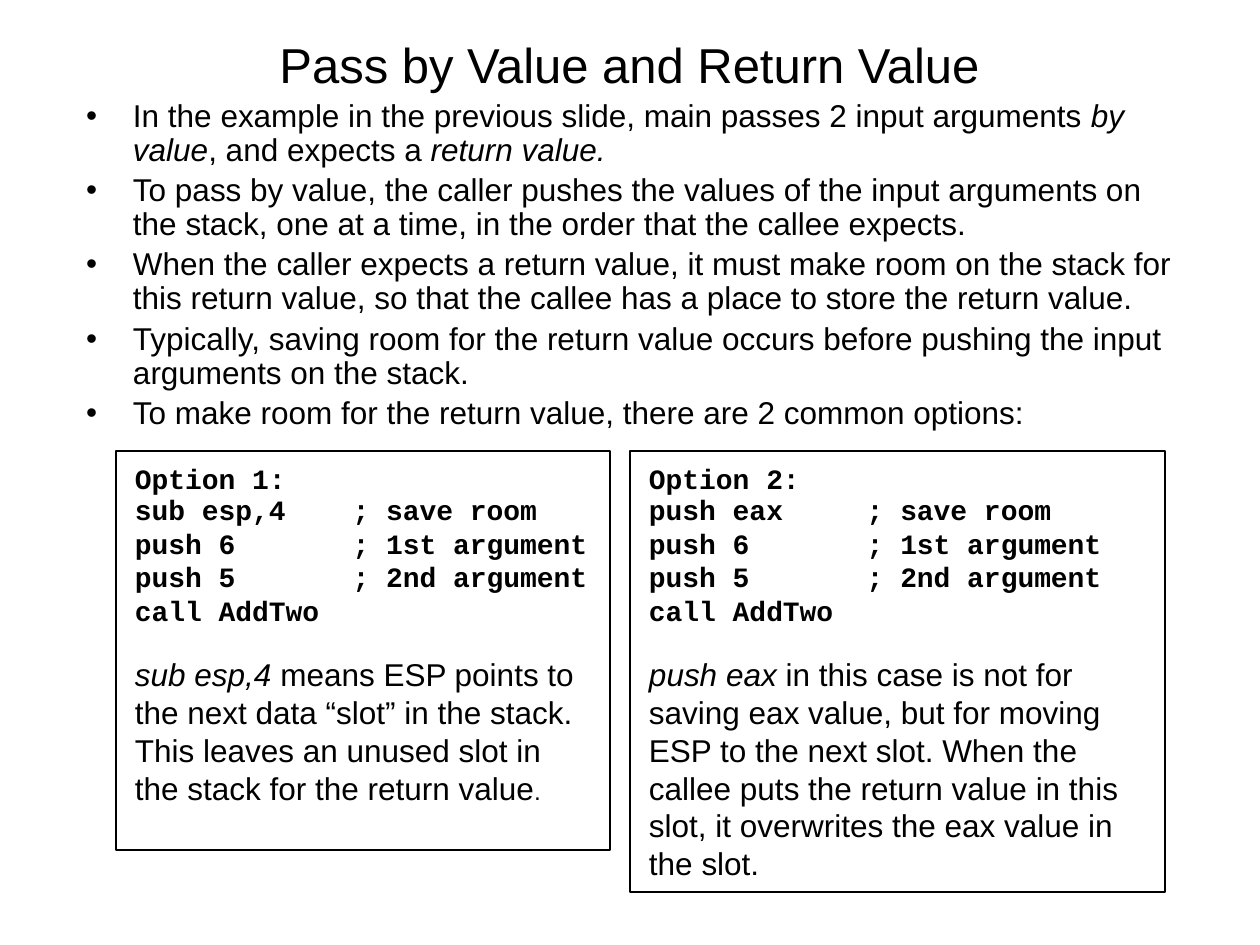
from lxml import etree
from pptx import Presentation
from pptx import util as u
from pptx.dml.color import RGBColor
from pptx.enum import shapes, text
from pptx.oxml.ns import qn

EMU_PER_PX = 914400 / 126
BLACK = RGBColor(0, 0, 0)
SANS, MONO = "Arial", "Courier New"

BULLETS = [
    [("In the example in the previous slide, main passes 2 input arguments ", False),
     ("by value", True), (", and expects a ", False), ("return value.", True)],
    [("To pass by value, the caller pushes the values of the input arguments on "
      "the stack, one at a time, in the order that the callee expects.", False)],
    [("When the caller expects a return value, it must make room on the stack for "
      "this return value, so that the callee has a place to store the return value.", False)],
    [("Typically, saving room for the return value occurs before pushing the input "
      "arguments on the stack.", False)],
    [("To make room for the return value, there are 2 common options:", False)],
]
SHARED_CODE = ["push 6       ; 1st argument", "push 5       ; 2nd argument", "call AddTwo"]


def px(length):
    return u.Emu(round(length * EMU_PER_PX))


def set_frame(shape, inset_x, inset_y, anchor):
    frame = shape.text_frame
    frame.word_wrap = True
    frame.auto_size = text.MSO_AUTO_SIZE.NONE
    frame.vertical_anchor = anchor
    frame.margin_left = frame.margin_right = px(inset_x)
    frame.margin_top = frame.margin_bottom = px(inset_y)
    return frame


def add_text_box(slide, box, anchor):
    shape = slide.shapes.add_textbox(*map(px, box))
    return set_frame(shape, 13, 6, anchor)


def next_paragraph(frame):
    """Return the untouched first paragraph, or else a new one."""
    first = frame.paragraphs[0]
    return frame.add_paragraph() if first.runs else first


def add_run(paragraph, words, size=18, font=SANS, bold=False, italic=False):
    run = paragraph.add_run()
    run.text = words
    run.font.name = font
    run.font.size = u.Pt(size)
    run.font.bold = bold
    run.font.italic = italic
    run.font.color.rgb = BLACK


def set_bullet(paragraph, indent):
    properties = paragraph._p.get_or_add_pPr()
    properties.set("marL", str(px(indent)))
    properties.set("indent", str(-px(indent)))
    color = etree.SubElement(properties, qn("a:buClr"))
    etree.SubElement(color, qn("a:srgbClr"), val=str(BLACK))
    etree.SubElement(properties, qn("a:buFont"), typeface=SANS)
    etree.SubElement(properties, qn("a:buChar"), char="•")


def add_title(slide, words):
    frame = add_text_box(slide, (94, 32, 1071, 63), text.MSO_ANCHOR.MIDDLE)
    paragraph = next_paragraph(frame)
    paragraph.alignment = text.PP_ALIGN.CENTER
    add_run(paragraph, words, 28)


def add_bullets(slide, bullets):
    frame = add_text_box(slide, (73, 94, 1113, 357), text.MSO_ANCHOR.TOP)
    for index, pieces in enumerate(bullets):
        paragraph = next_paragraph(frame)
        set_bullet(paragraph, 47)
        paragraph.line_spacing = 0.9
        paragraph.space_before = u.Pt(3.6 if index else 0)
        for words, italic in pieces:
            add_run(paragraph, words, italic=italic)


def add_option(slide, box, heading, first_line, instruction, explanation):
    """Draw a framed option: heading, code and the remark below it."""
    shape = slide.shapes.add_shape(shapes.MSO_SHAPE.RECTANGLE, *map(px, box))
    shape.shadow.inherit = False
    shape.fill.background()
    shape.line.color.rgb = BLACK
    shape.line.width = u.Pt(0.75)
    frame = set_frame(shape, 19, 25, text.MSO_ANCHOR.TOP)

    for line in [heading, first_line, *SHARED_CODE]:
        paragraph = next_paragraph(frame)
        paragraph.alignment = text.PP_ALIGN.LEFT
        add_run(paragraph, line, 16, MONO, bold=True)
    frame.paragraphs[0].line_spacing = 0.5

    remark = next_paragraph(frame)
    remark.alignment = text.PP_ALIGN.LEFT
    remark.space_before = u.Pt(16)
    add_run(remark, instruction, italic=True)
    for words, size in explanation:
        add_run(remark, words, size)


def main():
    presentation = Presentation()
    presentation.slide_width, presentation.slide_height = px(1260), px(945)
    slide = presentation.slides.add_slide(presentation.slide_layouts[6])

    add_title(slide, "Pass by Value and Return Value")
    add_bullets(slide, BULLETS)
    add_option(
        slide, (116, 451, 494, 399), "Option 1:", "sub esp,4    ; save room", "sub esp,4",
        [(" means ESP points to the next data “slot” in the stack. This leaves an "
          "unused slot in the stack for the return value", 18), (".", 14)])
    add_option(
        slide, (630, 451, 535, 441), "Option 2:", "push eax     ; save room", "push eax ",
        [("in this case is not for saving eax value, but for moving ESP to the next "
          "slot. When the callee puts the return value in this slot, it overwrites "
          "the eax value in the slot.", 18)])

    presentation.save("out.pptx")


if __name__ == "__main__":
    main()
